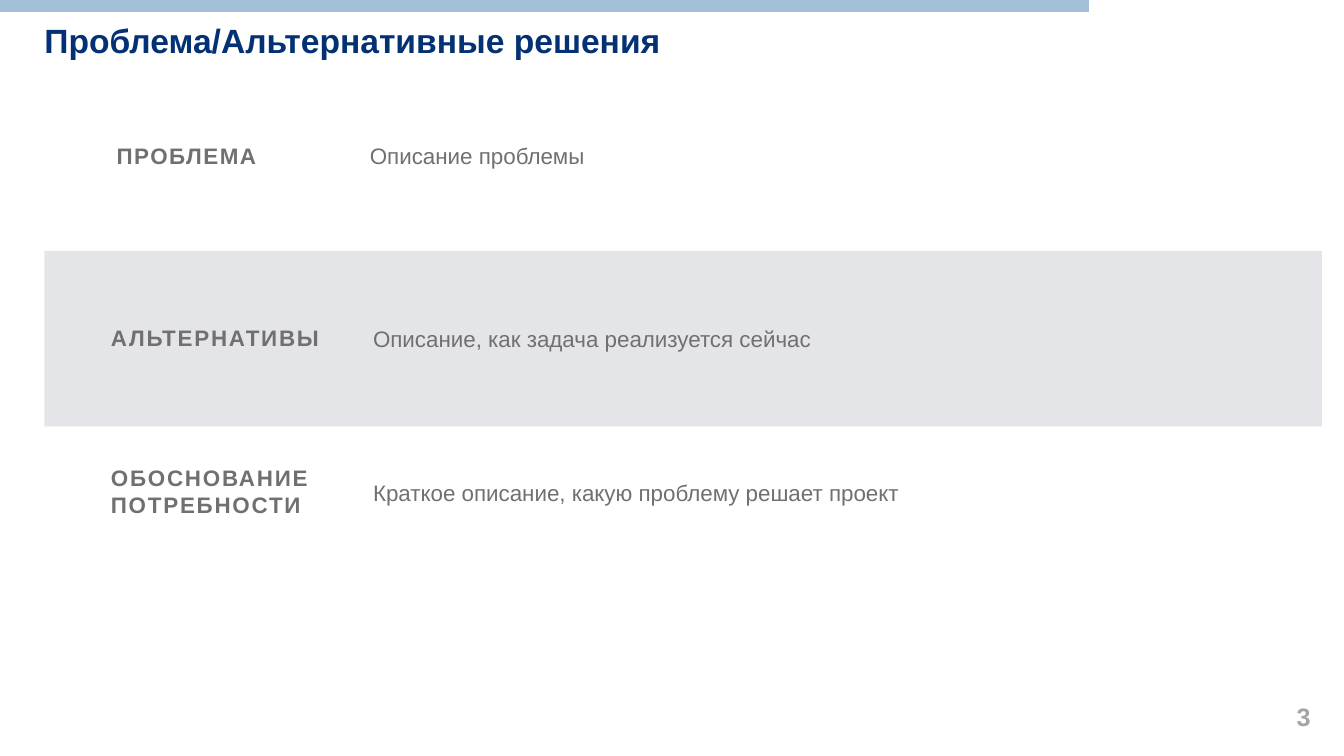
from pptx import Presentation, util as u
from pptx.dml.color import RGBColor
from pptx.enum import shapes, text
from pptx.oxml.ns import qn
from lxml import etree

PX = 9144  # 100 px to the inch
HUES = {"navy": "033174", "gray": "726F6F", "pale": "A5A4A4",
        "band": "E3E5E8", "blue": "A2BFD7"}
MID, TOP = text.MSO_ANCHOR.MIDDLE, text.MSO_ANCHOR.TOP
LEFT, MIDST = text.PP_ALIGN.LEFT, text.PP_ALIGN.CENTER


def hue(name):
    return RGBColor.from_string(HUES[name])


def write(shape, words, size=16, color="gray", bold=False, track=0,
          anchor=TOP, align=LEFT, pads=(0, 0, 0, 0), before=0, lead=1.0):
    frame = shape.text_frame
    frame.text = words
    frame.word_wrap = True
    frame.auto_size = text.MSO_AUTO_SIZE.NONE
    frame.vertical_anchor = anchor
    (frame.margin_left, frame.margin_top,
     frame.margin_right, frame.margin_bottom) = [n * PX for n in pads]
    para = frame.paragraphs[0]
    para.alignment = align
    para.space_before = u.Pt(before)
    para.line_spacing = lead
    run = para.runs[0]
    font = run.font
    font.name, font.size, font.bold = "Arial", u.Pt(size), bold
    font.color.rgb = hue(color)
    if track:
        font._element.set("spc", str(track))


deck = Presentation()
deck.slide_width, deck.slide_height = 1333 * PX, 750 * PX
slide = deck.slides.add_slide(deck.slide_layouts[5])
parts = slide.shapes

# Title
title = parts.title
title.left, title.top, title.width, title.height = 44 * PX, 0, 1133 * PX, 85 * PX
write(title, "Проблема/Альтернативные решения", 24, "navy", True,
      anchor=MID, lead=0.9)

# Top stripe
stripe = parts.add_connector(shapes.MSO_CONNECTOR.STRAIGHT,
                             -1 * PX, 6 * PX, 1080 * PX, 6 * PX)
stripe.line.color.rgb = hue("blue")
stripe.line.width = u.Pt(9)
etree.SubElement(stripe._element.spPr, qn("a:effectLst"))

# Gray band: label cell and text cell
for left, wide in ((44, 326), (370, 941)):
    cell = parts.add_shape(shapes.MSO_SHAPE.RECTANGLE,
                           left * PX, 249 * PX, wide * PX, 174 * PX)
    cell.shadow.inherit = False
    cell.fill.solid()
    cell.fill.fore_color.rgb = hue("band")
    cell.line.fill.background()
write(cell, "Описание, как задача реализуется сейчас", anchor=MID)

# Row labels, row texts and page number
label = dict(bold=True, before=1, track=130)
thin, wide = (0, 1, 0, 0), (10, 5, 10, 5)
boxes = [
    ((86, 140, 198, 28), "ПРОБЛЕМА",
     dict(label, track=110, align=MIDST, pads=thin)),
    ((110, 321, 221, 28), "АЛЬТЕРНАТИВЫ", dict(label, pads=thin)),
    ((110, 460, 267, 54), "ОБОСНОВАНИЕ ПОТРЕБНОСТИ", dict(label, anchor=MID)),
    ((357, 136, 935, 37), "Описание проблемы", dict(pads=wide, before=1.2)),
    ((370, 474, 819, 26), "Краткое описание, какую проблему решает проект",
     dict(before=0.2, lead=1.04)),
    ((1264, 684, 58, 53), "3",
     dict(size=18, color="pale", bold=True, anchor=MID, align=MIDST, pads=wide)),
]
for place, words, style in boxes:
    write(parts.add_textbox(*[n * PX for n in place]), words, **style)

deck.save("out.pptx")
